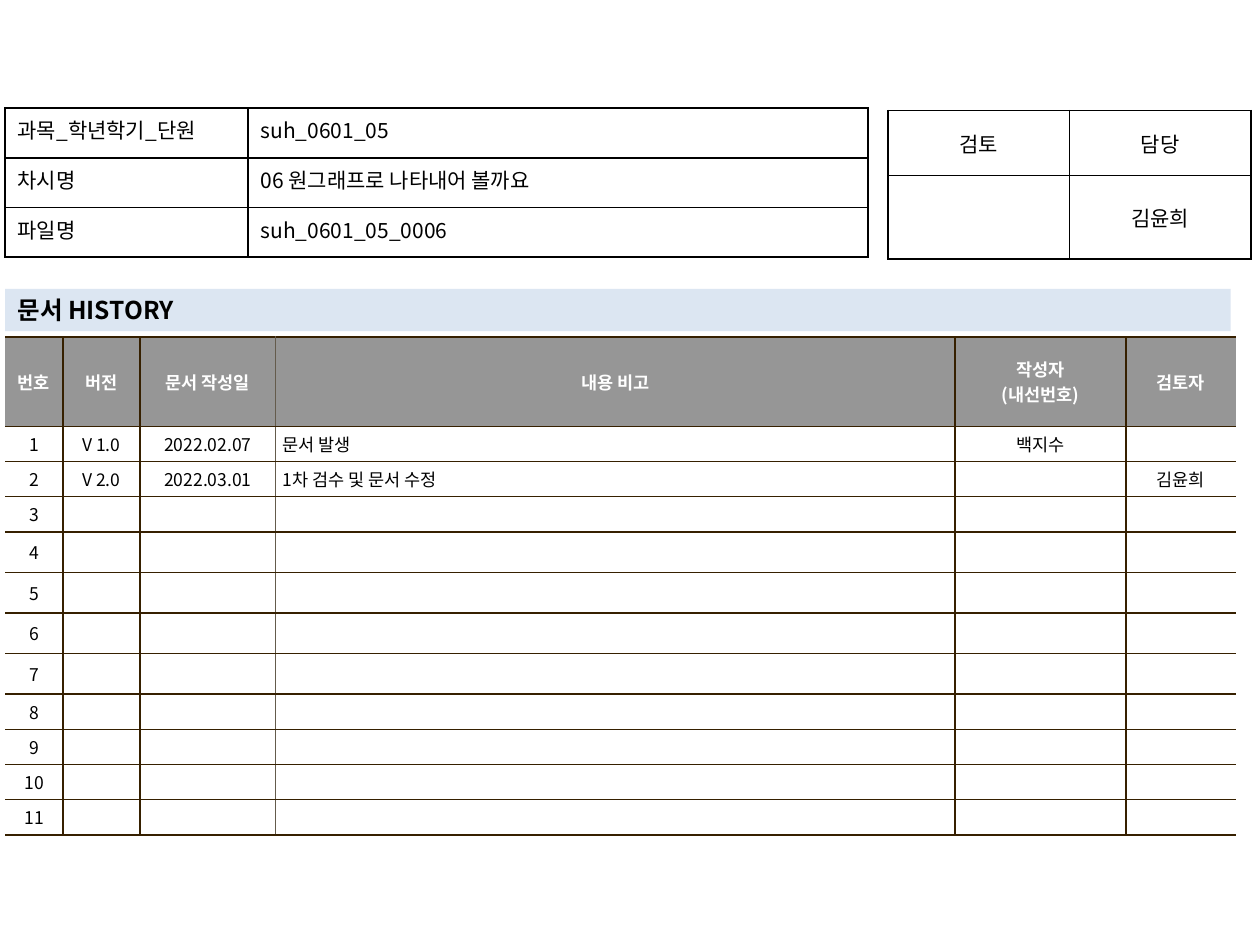
from dataclasses import dataclass

from lxml import etree
from pptx import Presentation
from pptx.dml.color import RGBColor
from pptx.enum.shapes import MSO_SHAPE
from pptx.enum.text import MSO_ANCHOR, PP_ALIGN
from pptx.oxml.ns import qn
from pptx.util import Pt

RECTANGLE = MSO_SHAPE.RECTANGLE
TOP, MIDDLE = MSO_ANCHOR.TOP, MSO_ANCHOR.MIDDLE
LEFT, CENTER, JUSTIFY = PP_ALIGN.LEFT, PP_ALIGN.CENTER, PP_ALIGN.JUSTIFY
FONT = "Noto Sans CJK KR"
COLORS = {
    "text": "000000",
    "white": "FFFFFF",
    "header": "969696",
    "band": "DCE6F2",
    "grid": "362000",
    "soft_grid": "645B4C",
}
Borders = dict[str, str | None]


@dataclass
class TextStyle:
    size: float
    color: str = "text"
    bold: bool = False
    align: PP_ALIGN = CENTER
    hanging: float = 0


@dataclass
class Grid:
    left: float
    top: float
    columns: list[float]
    rows: list[float]
    inset_x: float
    inset_y: float
    anchor: MSO_ANCHOR


def set_values(target: object, values: dict[str, object]) -> None:
    for name, value in values.items():
        setattr(target, name, value)


def write_text(frame, text: str, style: TextStyle) -> None:
    for index, line in enumerate(text.split("\n")):
        para = frame.add_paragraph() if index else frame.paragraphs[0]
        para.alignment = style.align
        if style.hanging:
            properties = para._p.get_or_add_pPr()
            properties.set("marL", str(Pt(style.hanging)))
            properties.set("indent", str(-Pt(style.hanging)))
        if not line:
            end = etree.SubElement(para._p, qn("a:endParaRPr"))
            end.set("sz", str(round(style.size * 100)))
            for tag in ("a:latin", "a:ea"):
                etree.SubElement(end, qn(tag)).set("typeface", FONT)
            continue
        span = para.add_run()
        span.text = line
        set_values(span.font, {"name": FONT, "size": Pt(style.size), "bold": style.bold})
        span.font.color.rgb = RGBColor.from_string(COLORS[style.color])
        east_asian = etree.SubElement(span.font._element, qn("a:ea"))
        east_asian.set("typeface", FONT)


def draw_borders(cell, borders: Borders) -> None:
    properties = cell._tc.get_or_add_tcPr()
    for side in "LRTB":
        line = etree.SubElement(properties, qn(f"a:ln{side}"))
        line.set("w", str(Pt(1)))
        color = borders[side]
        if color is None:
            etree.SubElement(line, qn("a:noFill"))
        else:
            fill = etree.SubElement(line, qn("a:solidFill"))
            etree.SubElement(fill, qn("a:srgbClr")).set("val", COLORS[color])


def add_grid(page, grid: Grid):
    box = (grid.left, grid.top, sum(grid.columns), sum(grid.rows))
    table = page.shapes.add_table(
        len(grid.rows), len(grid.columns), *(Pt(value) for value in box)
    ).table
    set_values(table, {"first_row": False, "horz_banding": False})
    for column, width in zip(table.columns, grid.columns):
        column.width = Pt(width)
    for row, height in zip(table.rows, grid.rows):
        row.height = Pt(height)
    for cell in table.iter_cells():
        set_values(cell, {
            "margin_left": Pt(grid.inset_x), "margin_right": Pt(grid.inset_x),
            "margin_top": Pt(grid.inset_y), "margin_bottom": Pt(grid.inset_y),
            "vertical_anchor": grid.anchor,
        })
    return table


def fill_cell(cell, text: str, style: TextStyle, borders: Borders, fill: str | None = None) -> None:
    draw_borders(cell, borders)
    if fill:
        cell.fill.solid()
        cell.fill.fore_color.rgb = RGBColor.from_string(COLORS[fill])
    else:
        cell.fill.background()
    write_text(cell.text_frame, text, style)


def add_plain_table(page, grid: Grid, lines: list[list[str]], aligns: list[PP_ALIGN]) -> None:
    table = add_grid(page, grid)
    borders = dict.fromkeys("LRTB", "text")
    for row, texts in enumerate(lines):
        for column, text in enumerate(texts):
            fill_cell(table.cell(row, column), text, TextStyle(12, align=aligns[column]), borders)


def add_history_table(page) -> None:
    header = ["번호", "버전", "문서 작성일", "내용 비고", "작성자\n(내선번호)", "검토자"]
    entries = [
        ["V 1.0", "2022.02.07", "문서 발생", "백지수", ""],
        ["V 2.0", "2022.03.01", "1차 검수 및 문서 수정", "", "김윤희"],
    ]
    entries += [[""] * 5 for _ in range(9)]
    tall_rows = range(4, 8)
    heights = [51] + [23.2 if row in tall_rows else 20.1 for row in range(1, 12)]
    widths = [33.1, 44, 77.6, 388.2, 97.8, 62.6]
    table = add_grid(page, Grid(2.9, 192.6, widths, heights, 4.1, 2.8, MIDDLE))
    verticals = [None, "grid", "grid", "soft_grid", "grid", "grid", None]
    lines = [header] + [[str(number), *entry] for number, entry in enumerate(entries, 1)]
    for row, texts in enumerate(lines):
        for column, text in enumerate(texts):
            borders = {"L": verticals[column], "R": verticals[column + 1], "T": "grid", "B": "grid"}
            if row == 0:
                style = TextStyle(10, "white", True)
            else:
                size = 12 if row in tall_rows and not text else 10
                style = TextStyle(size)
                if column == 3:
                    set_values(style, {"align": LEFT, "hanging": 13.7})
            fill = "white" if row else "header"
            fill_cell(table.cell(row, column), text, style, borders, fill)


def add_title_band(page) -> None:
    band = page.shapes.add_shape(RECTANGLE, Pt(2.9), Pt(165.1), Pt(700.4), Pt(24.2))
    band.shadow.inherit = False
    band.fill.solid()
    band.fill.fore_color.rgb = RGBColor.from_string(COLORS["band"])
    band.line.fill.background()
    set_values(band.text_frame, {"word_wrap": True, "vertical_anchor": MIDDLE})
    write_text(band.text_frame, "문서 HISTORY", TextStyle(14, bold=True, align=LEFT))


def main() -> None:
    """Build the document history slide."""
    deck = Presentation()
    set_values(deck, {"slide_width": Pt(720), "slide_height": Pt(540)})
    page = deck.slides.add_slide(deck.slide_layouts[6])
    add_history_table(page)
    add_plain_table(
        page,
        Grid(507.5, 63.2, [103.7] * 2, [37, 47.9], 7.2, 3.6, MIDDLE),
        [["검토", "담당"], ["", "김윤희"]],
        [CENTER, CENTER],
    )
    add_title_band(page)
    add_plain_table(
        page,
        Grid(2.9, 61.8, [138.8, 354.4], [28.4] * 3, 7.2, 3.6, TOP),
        [
            ["과목_학년학기_단원 ", "suh_0601_05"],
            ["차시명", "06 원그래프로 나타내어 볼까요"],
            ["파일명", "suh_0601_05_0006"],
        ],
        [JUSTIFY, LEFT],
    )
    deck.save("out.pptx")


if __name__ == "__main__":
    main()
